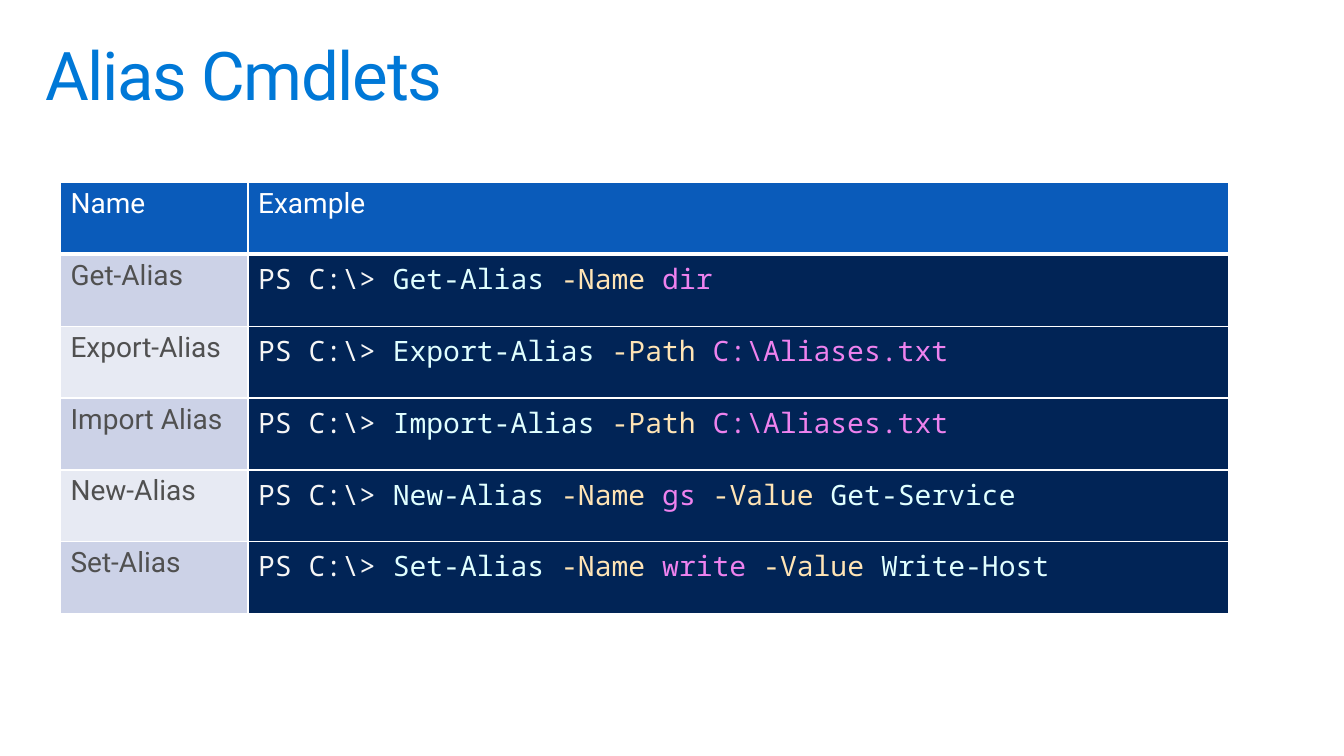
from dataclasses import dataclass

from lxml import etree
from pptx import Presentation
from pptx.dml.color import RGBColor
from pptx.enum.text import MSO_ANCHOR
from pptx.oxml.ns import qn
from pptx.table import _Cell
from pptx.text.text import _Paragraph
from pptx.util import Inches, Pt

TOP = MSO_ANCHOR.TOP
BLANK_LAYOUT = 6


@dataclass(frozen=True)
class Theme:
    sans: str = "Roboto"
    mono: str = "Noto Sans Mono"
    title_size: int = 48
    table_size: int = 20
    title: str = "0078D7"
    header: str = "0A5BBA"
    bands: tuple[str, str] = ("CCD2E7", "E7EAF3")
    console: str = "012456"
    white: str = "FFFFFF"
    name: str = "505050"
    prompt: str = "F5F5F5"
    command: str = "E0FFFF"
    parameter: str = "FFE4B5"
    argument: str = "EE82EE"


THEME = Theme()


@dataclass(frozen=True)
class Span:
    text: str
    color: str
    font: str = THEME.mono
    size: int = THEME.table_size


@dataclass(frozen=True)
class Cmdlet:
    name: str
    command: str
    parameter: str
    argument: str
    value: str = ""

    def spans(self) -> list[Span]:
        spans = [
            Span("PS C:\\> ", THEME.prompt),
            Span(f"{self.command} ", THEME.command),
            Span(f"{self.parameter} ", THEME.parameter),
        ]
        if not self.value:
            return spans + [Span(self.argument, THEME.argument)]
        return spans + [
            Span(f"{self.argument} ", THEME.argument),
            Span("-Value ", THEME.parameter),
            Span(self.value, THEME.command),
        ]


CMDLETS = [
    Cmdlet("Get-Alias", "Get-Alias", "-Name", "dir"),
    Cmdlet("Export-Alias", "Export-Alias", "-Path", "C:\\Aliases.txt"),
    Cmdlet("Import Alias", "Import-Alias", "-Path", "C:\\Aliases.txt"),
    Cmdlet("New-Alias", "New-Alias", "-Name", "gs", "Get-Service"),
    Cmdlet("Set-Alias", "Set-Alias", "-Name", "write", "Write-Host"),
]


def write_spans(para: _Paragraph, spans: list[Span], spacing: float = 0) -> None:
    for span in spans:
        run = para.add_run()
        run.text = span.text
        values = {"name": span.font, "size": Pt(span.size), "bold": False}
        for key, value in values.items():
            setattr(run.font, key, value)
        run.font.color.rgb = RGBColor.from_string(span.color)
        if spacing:
            run.font._element.set("spc", str(round(spacing * 100)))


def set_borders(cell: _Cell, widths: dict[str, float]) -> None:
    properties = cell._tc.get_or_add_tcPr()
    for side, width in widths.items():
        line = etree.SubElement(properties, qn(f"a:ln{side}"), w=str(Pt(width)))
        fill = etree.SubElement(line, qn("a:solidFill"))
        etree.SubElement(fill, qn("a:srgbClr"), val=THEME.white)


def fill_cell(cell: _Cell, spans: list[Span], color: str, row: int) -> None:
    top = 3 if row == 1 else 1
    bottom = 3 if row == 0 else 1
    set_borders(cell, {"L": 1, "R": 1, "T": top, "B": bottom})
    cell.fill.solid()
    cell.fill.fore_color.rgb = RGBColor.from_string(color)
    cell.vertical_anchor = TOP
    write_spans(cell.text_frame.paragraphs[0], spans)


def add_title(page) -> None:
    box = page.shapes.add_textbox(Inches(0.29), Inches(0.32), Inches(12.75), Inches(0.98))
    frame = box.text_frame
    values = {
        "word_wrap": True,
        "vertical_anchor": TOP,
        "margin_left": Inches(0.16),
        "margin_right": Inches(0.16),
        "margin_top": Inches(0.1),
        "margin_bottom": Inches(0.1),
    }
    for key, value in values.items():
        setattr(frame, key, value)
    para = frame.paragraphs[0]
    para.line_spacing = 0.9
    title = Span("Alias Cmdlets", THEME.title, THEME.sans, THEME.title_size)
    write_spans(para, [title], spacing=-1)


def add_cmdlet_table(page) -> None:
    table = page.shapes.add_table(
        len(CMDLETS) + 1, 2, Inches(0.6), Inches(1.81), Inches(11.59), Inches(4.28)
    ).table
    for key, value in {"first_row": False, "horz_banding": False}.items():
        setattr(table, key, value)
    for column, width in zip(table.columns, (1.86, 9.73)):
        column.width = Inches(width)
    for column, heading in enumerate(("Name", "Example")):
        spans = [Span(heading, THEME.white, THEME.sans)]
        fill_cell(table.cell(0, column), spans, THEME.header, 0)
    for row, cmdlet in enumerate(CMDLETS, start=1):
        name = [Span(cmdlet.name, THEME.name, THEME.sans)]
        fill_cell(table.cell(row, 0), name, THEME.bands[(row - 1) % 2], row)
        fill_cell(table.cell(row, 1), cmdlet.spans(), THEME.console, row)


def main() -> None:
    deck = Presentation()
    deck.slide_width = Inches(13.33)
    deck.slide_height = Inches(7.5)
    page = deck.slides.add_slide(deck.slide_layouts[BLANK_LAYOUT])
    add_title(page)
    add_cmdlet_table(page)
    deck.save("out.pptx")


if __name__ == "__main__":
    main()
